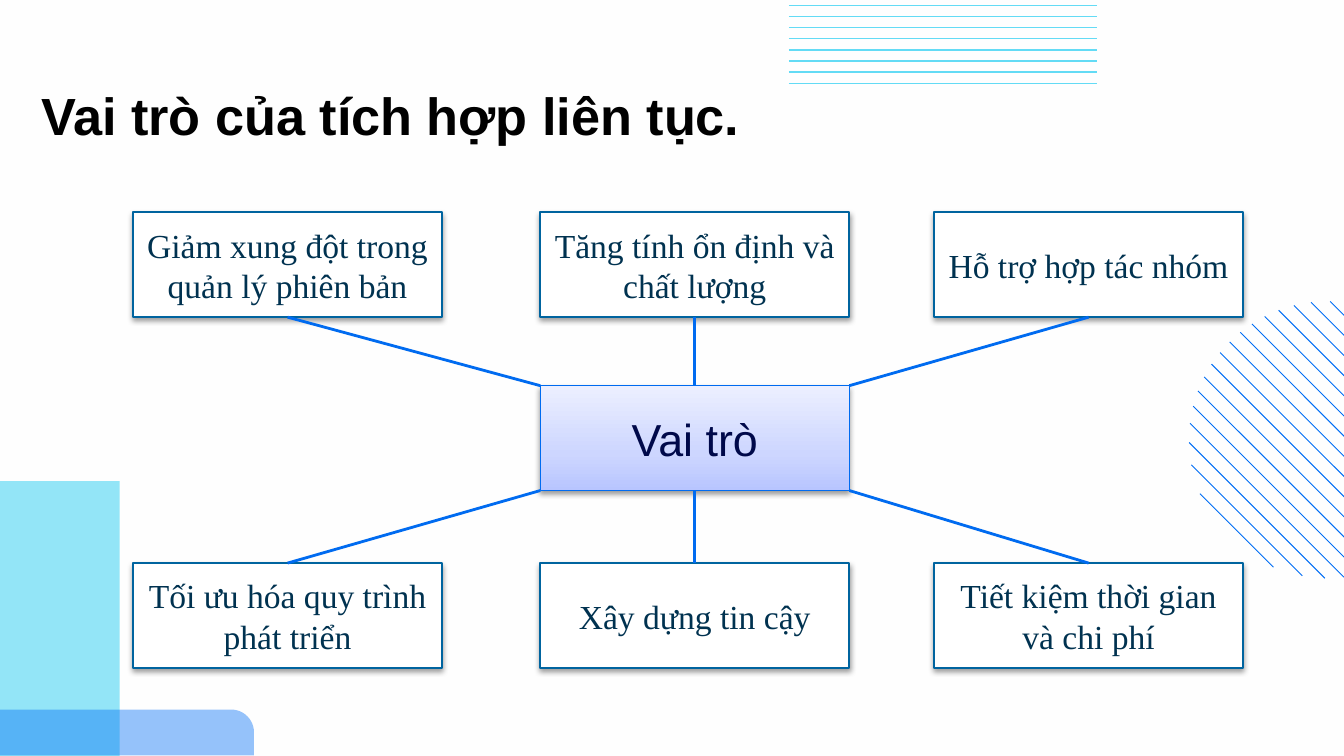
from copy import deepcopy
from math import sqrt

from lxml.etree import SubElement
from pptx import Presentation
from pptx.dml.color import RGBColor
from pptx.enum.shapes import MSO_CONNECTOR, MSO_SHAPE
from pptx.enum.text import MSO_ANCHOR, PP_ALIGN
from pptx.oxml.ns import qn
from pptx.util import Inches, Pt

TITLE = "Vai trò của tích hợp liên tục."
HUB = "Vai trò"
COLS = [0.99, 4.02, 6.95]
# Each row: top, labels from left to right
ROWS = [
    (1.58, ["Giảm xung đột trong quản lý phiên bản",
            "Tăng tính ổn định và chất lượng",
            "Hỗ trợ hợp tác nhóm"]),
    (4.19, ["Tối ưu hóa quy trình phát triển",
            "Xây dựng tin cậy",
            "Tiết kiệm thời gian và chi phí"]),
]
WIDTH, HEIGHT = 2.3, 0.78
HUB_LEFT, HUB_TOP = 4.02, 2.87

PAPER = RGBColor(0xFE, 0xFE, 0xFE)
WHITE = RGBColor(0xFF, 0xFF, 0xFF)
BLACK = RGBColor(0, 0, 0)
EDGE = RGBColor(0x00, 0x64, 0x9F)
INK = RGBColor(0x00, 0x32, 0x50)
NAVY = RGBColor(0x00, 0x09, 0x4A)
BLUE = RGBColor(0x00, 0x6B, 0xF0)
VIVID = RGBColor(0x00, 0x6D, 0xF5)
CYAN = RGBColor(0x63, 0xDB, 0xF5)
GRADE = [(0, RGBColor(0xB8, 0xC5, 0xFF)),
         (0.35, RGBColor(0xCD, 0xD6, 0xFF)),
         (1, RGBColor(0xEC, 0xEF, 0xFF))]


def style(para, size, font, color, bold=False):
    face = para.runs[0].font
    face.size, face.name, face.bold = Pt(size), font, bold
    face.color.rgb = color


def add_box(shapes, left, top, text, size, font, ink, edge, weight):
    """Add a bordered box with centred text and a soft shadow below."""
    box = shapes.add_shape(MSO_SHAPE.RECTANGLE, Inches(left), Inches(top),
                           Inches(WIDTH), Inches(HEIGHT))
    box.fill.solid()
    box.fill.fore_color.rgb = WHITE
    box.line.color.rgb = edge
    box.line.width = Pt(weight)
    box.shadow.inherit = False
    glow = SubElement(box._element.spPr.find(qn("a:effectLst")),
                      qn("a:outerShdw"), blurRad=str(Pt(3.1)),
                      dist=str(Pt(1.6)), dir="5400000", rotWithShape="0")
    tint = SubElement(glow, qn("a:srgbClr"), val="000000")
    SubElement(tint, qn("a:alpha"), val="38000")
    frame = box.text_frame
    frame.word_wrap = True
    frame.vertical_anchor = MSO_ANCHOR.MIDDLE
    frame.text = text
    para = frame.paragraphs[0]
    para.alignment = PP_ALIGN.CENTER
    style(para, size, font, ink)
    return box


def shade(box):
    box.fill.gradient()
    box.fill.gradient_angle = 90
    stops = box._element.spPr.find(qn("a:gradFill")).find(qn("a:gsLst"))
    stops.append(deepcopy(stops[0]))
    for stop, (place, color) in zip(box.fill.gradient_stops, GRADE):
        stop.position = place
        stop.color.rgb = color


def add_line(shapes, start, end, color, weight):
    line = shapes.add_connector(MSO_CONNECTOR.STRAIGHT,
                                *map(Inches, start + end))
    line.line.color.rgb = color
    line.line.width = Pt(weight)
    SubElement(line._element.spPr, qn("a:effectLst"))
    return line


def add_panel(shapes, kind, area, color, alpha):
    """Add a see-through block of colour."""
    panel = shapes.add_shape(kind, *map(Inches, area))
    panel.fill.solid()
    panel.fill.fore_color.rgb = color
    tint = panel._element.spPr.find(qn("a:solidFill"))[0]
    SubElement(tint, qn("a:alpha"), val=str(alpha * 1000))
    panel.line.fill.background()
    panel.shadow.inherit = False
    return panel


def add_hatch(shapes):
    """Fill a circle with thin diagonal slivers."""
    mid_x, mid_y, radius, step, thick = 9.88, 3.27, 1.03, 0.15, 0.005
    for num in range(-7, 10):
        shift = num * step
        half = sqrt(radius ** 2 - shift ** 2 / 2) / sqrt(2)
        x, y = mid_x - shift / 2, mid_y + shift / 2
        pts = [(x - half, y - half), (x - half - thick, y - half + thick),
               (x + half - thick, y + half + thick), (x + half, y + half)]
        pts = [(Inches(a), Inches(b)) for a, b in pts]
        pen = shapes.build_freeform(*pts[0])
        pen.add_line_segments(pts[1:], close=True)
        sliver = pen.convert_to_shape()
        sliver.fill.solid()
        sliver.fill.fore_color.rgb = VIVID
        sliver.line.fill.background()
        sliver.shadow.inherit = False


def main():
    deck = Presentation()
    deck.slide_width = Inches(10)
    deck.slide_height = deck.slide_width * 9 // 16
    slide = deck.slides.add_slide(deck.slide_layouts[6])
    slide.background.fill.solid()
    slide.background.fill.fore_color.rgb = PAPER
    shapes = slide.shapes

    for num in range(8):
        y = 0.04 + num * 0.58 / 7
        add_line(shapes, (5.87, y), (8.16, y), CYAN, 0.75)
    add_panel(shapes, MSO_SHAPE.RECTANGLE, (-0.48, 3.58, 1.37, 2.05), CYAN, 69)
    foot = add_panel(shapes, MSO_SHAPE.ROUND_1_RECTANGLE,
                     (-0.59, 5.28, 2.48, 0.34), VIVID, 41)
    foot.adjustments[0] = 0.5
    add_hatch(shapes)

    title = shapes.add_textbox(Inches(0.21), Inches(0.52),
                               Inches(5.5), Inches(0.79)).text_frame
    title.word_wrap = True
    title.margin_top = title.margin_bottom = Inches(0.1)
    title.text = TITLE
    style(title.paragraphs[0], 28, "Arial", BLACK, True)

    hub = add_box(shapes, HUB_LEFT, HUB_TOP, HUB, 24, "Arial", NAVY, BLUE, 0.75)
    shade(hub)
    for row, (top, labels) in enumerate(ROWS):
        box_side, hub_side = (2, 0) if row == 0 else (0, 2)
        hub_y = HUB_TOP + row * HEIGHT
        box_y = top + (1 - row) * HEIGHT
        for col, (left, text) in enumerate(zip(COLS, labels)):
            box = add_box(shapes, left, top, text, 18, "Times New Roman",
                          INK, EDGE, 1)
            spoke = add_line(shapes, (left + WIDTH / 2, box_y),
                             (HUB_LEFT + col * WIDTH / 2, hub_y), BLUE, 1.5)
            spoke.begin_connect(box, box_side)
            if col == 1:
                spoke.end_connect(hub, hub_side)

    deck.save("out.pptx")


if __name__ == "__main__":
    main()
